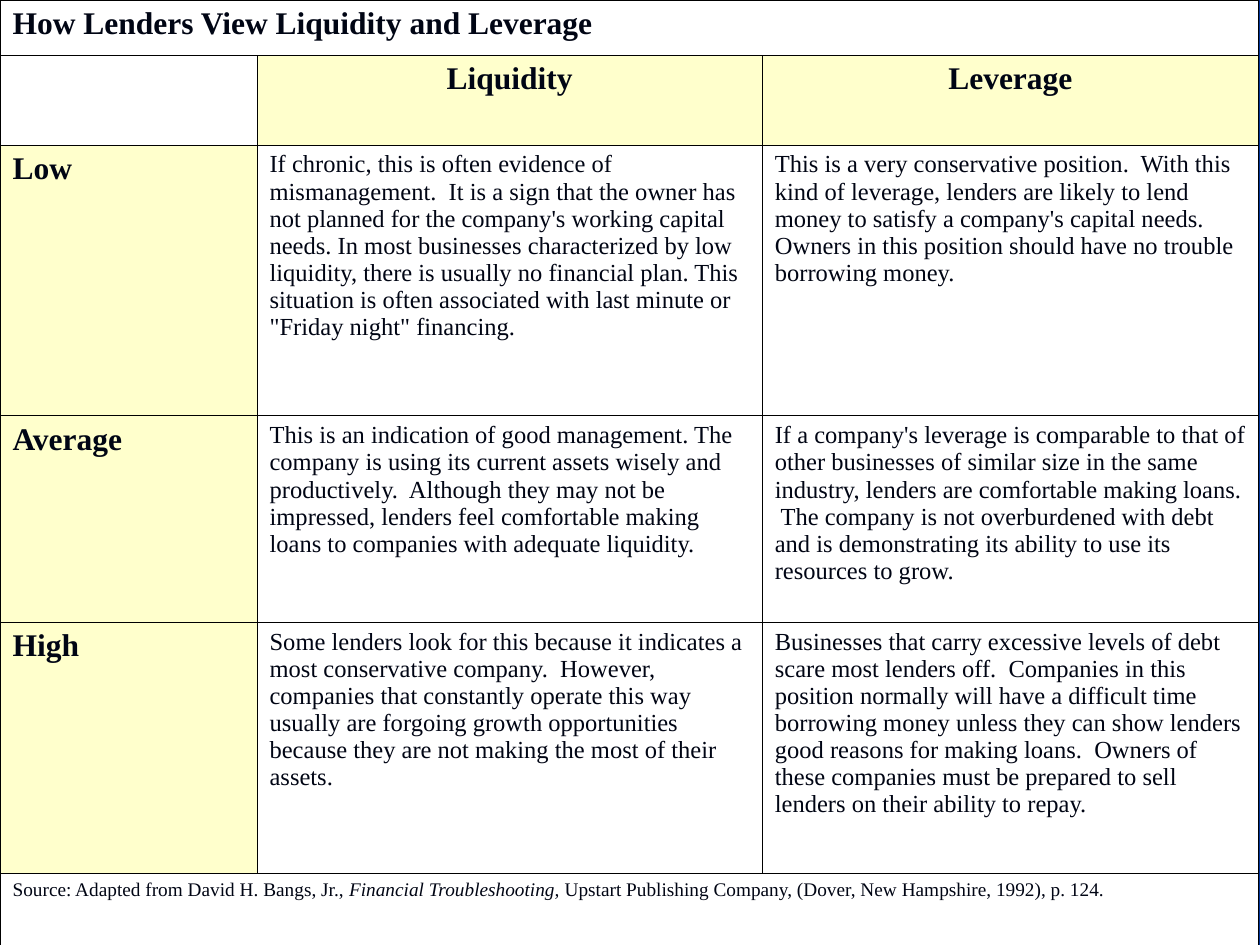
"""Build a one-slide table on how lenders view liquidity and leverage."""
from lxml import etree
from pptx import Presentation
from pptx import util as u
from pptx.dml.color import RGBColor
from pptx.enum import text
from pptx.oxml import ns

INK = RGBColor(0x00, 0x05, 0x14)
WHITE = RGBColor(0xFF, 0xFF, 0xFF)
CREAM = RGBColor(0xFF, 0xFF, 0xCC)
NAVY = RGBColor(0x00, 0x33, 0x99)
BLACK = RGBColor(0x00, 0x00, 0x00)

TITLE = "How Lenders View Liquidity and Leverage"
HEADS = ["Liquidity", "Leverage"]
VIEWS = [
    ("Low",
     "If chronic, this is often evidence of mismanagement.  It is a sign that the owner has not "
     "planned for the company's working capital needs. In most businesses characterized by low "
     "liquidity, there is usually no financial plan. This situation is often associated with "
     "last minute or \"Friday night\" financing.",
     "This is a very conservative position.  With this kind of leverage, lenders are likely to "
     "lend money to satisfy a company's capital needs.  Owners in this position should have no "
     "trouble borrowing money."),
    ("Average",
     "This is an indication of good management. The company is using its current assets wisely "
     "and productively.  Although they may not be impressed, lenders feel comfortable making "
     "loans to companies with adequate liquidity.",
     "If a company's leverage is comparable to that of other businesses of similar size in the "
     "same industry, lenders are comfortable making loans.  The company is not overburdened "
     "with debt and is demonstrating its ability to use its resources to grow."),
    ("High",
     "Some lenders look for this because it indicates a most conservative company.  However, "
     "companies that constantly operate this way usually are forgoing growth opportunities "
     "because they are not making the most of their assets.",
     "Businesses that carry excessive levels of debt scare most lenders off.  Companies in this "
     "position normally will have a difficult time borrowing money unless they can show lenders "
     "good reasons for making loans.  Owners of these companies must be prepared to sell "
     "lenders on their ability to repay."),
]
SOURCE = [
    ("Source: Adapted from David H. Bangs, Jr., ", False),
    ("Financial Troubleshooting, ", True),
    ("Upstart Publishing Company, (Dover, New Hampshire, 1992), p. 124.", False),
]
COLS = [2.04, 4.01, 3.94]
ROWS = [0.44, 0.71, 2.15, 1.64, 1.99, 0.58]


def write(par, words, size=14, bold=False, slant=False, face="Times New Roman", ink=INK):
    run = par.add_run()
    run.text = words
    font = run.font
    font.name, font.size = face, u.Pt(size)
    font.bold, font.italic = bold, slant
    font.color.rgb = ink


class Deck:
    def __init__(self, slide, edge=BLACK, width=0.45):
        self.slide, self.edge, self.width = slide, edge, width

    def back(self, tone):
        fill = self.slide.background.fill
        fill.solid()
        fill.fore_color.rgb = tone

    def grid(self, left, top, cols, rows):
        frame = self.slide.shapes.add_table(
            len(rows), len(cols), u.Inches(left), u.Inches(top),
            u.Inches(sum(cols)), u.Inches(sum(rows)))
        table = frame.table
        table.first_row = table.horz_banding = False
        for col, size in zip(table.columns, cols):
            col.width = u.Inches(size)
        for row, size in zip(table.rows, rows):
            row.height = u.Inches(size)
            for cell in row.cells:
                self.tint(cell, WHITE)
                self.rule(cell)
        return table

    def tint(self, cell, tone):
        cell.fill.solid()
        cell.fill.fore_color.rgb = tone

    def rule(self, cell):
        props = cell._tc.get_or_add_tcPr()
        for spot, side in enumerate("LRTB"):
            line = etree.Element(ns.qn(f"a:ln{side}"), w=str(u.Pt(self.width)))
            fill = etree.SubElement(line, ns.qn("a:solidFill"))
            etree.SubElement(fill, ns.qn("a:srgbClr"), val=str(self.edge))
            props.insert(spot, line)

    def head(self, cell, words, tone=CREAM, align=text.PP_ALIGN.LEFT):
        self.tint(cell, tone)
        par = cell.text_frame.paragraphs[0]
        par.alignment = align
        write(par, words, size=18, bold=True)

    def body(self, cell, words):
        write(cell.text_frame.paragraphs[0], words)

    def note(self, cell, parts):
        for words, slant in parts:
            write(cell.text_frame.paragraphs[0], words, size=11, slant=slant)


def main():
    show = Presentation()
    show.slide_width, show.slide_height = u.Inches(10), u.Inches(7.5)
    deck = Deck(show.slides.add_slide(show.slide_layouts[6]))
    deck.back(NAVY)
    table = deck.grid(0, 0, COLS, ROWS)
    last = len(ROWS) - 1
    for row in (0, last):
        table.cell(row, 0).merge(table.cell(row, len(COLS) - 1))
    deck.head(table.cell(0, 0), TITLE, tone=WHITE)
    for col, name in enumerate(HEADS, 1):
        deck.head(table.cell(1, col), name, align=text.PP_ALIGN.CENTER)
    for row, (level, *views) in enumerate(VIEWS, 2):
        deck.head(table.cell(row, 0), level)
        for col, view in enumerate(views, 1):
            deck.body(table.cell(row, col), view)
    deck.note(table.cell(last, 0), SOURCE)
    show.save("out.pptx")


if __name__ == "__main__":
    main()
